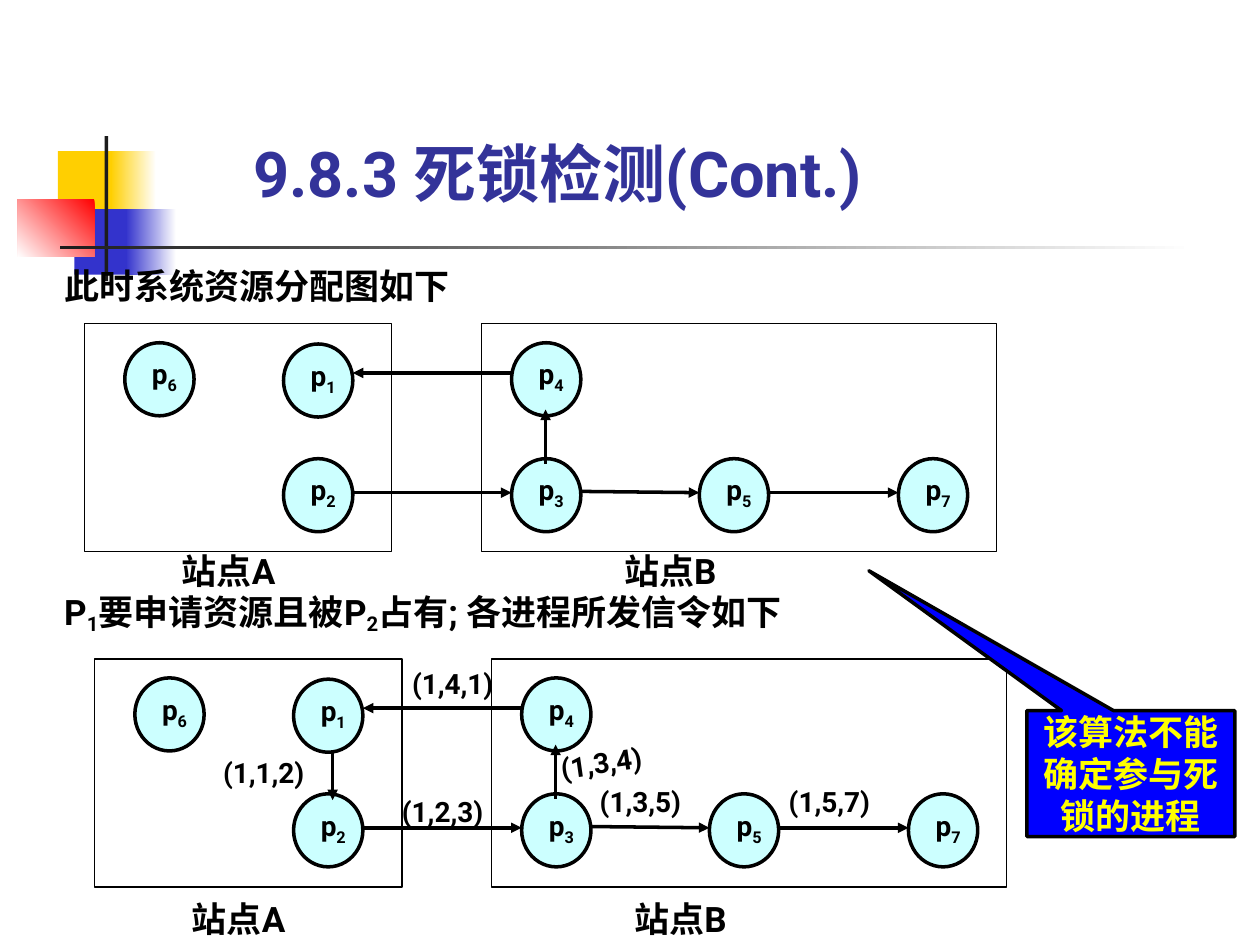
from lxml.etree import SubElement
from pptx import Presentation
from pptx.dml.color import RGBColor
from pptx.enum.shapes import MSO_CONNECTOR as Conn, MSO_SHAPE as Kind
from pptx.enum.text import MSO_ANCHOR as Anchor, PP_ALIGN as Align
from pptx.oxml.ns import qn
from pptx.util import Inches, Pt

BLACK = RGBColor(0, 0, 0)
WHITE = RGBColor(0xFF, 0xFF, 0xFF)
GOLD = RGBColor(0xFF, 0xCF, 0x01)
BLUE = RGBColor(0x33, 0x33, 0xCC)
RED = RGBColor(0xFF, 0, 0)
DARK = RGBColor(0x1C, 0x1C, 0x1C)
NAVY = RGBColor(0x33, 0x33, 0x99)
CYAN = RGBColor(0xCC, 0xFF, 0xFF)
NOTE = RGBColor(0, 0, 0xFF)
YELLOW = RGBColor(0xFF, 0xFF, 0)

# Decoration: box, fill (one colour, or start, end and angle)
DECO = [
    ((0.46, 1.2, 0.48, 0.52), GOLD),
    ((0.88, 1.2, 0.36, 0.52), (WHITE, GOLD, 180)),
    ((0.59, 1.66, 0.46, 0.52), BLUE),
    ((1, 1.66, 0.4, 0.52), (WHITE, BLUE, 180)),
    ((0.14, 1.58, 0.61, 0.46), (RED, WHITE, 225)),
    ((0.83, 1.08, 0.03, 1.15), DARK),
    ((0.48, 1.95, 9, 0.03), (WHITE, DARK, 180)),
]

# Text as (words, baseline shift in percent)
TITLE = [("9.8.3 死锁检测(Cont.)", 0)]
LEAD = [("此时系统资源分配图如下", 0)]
NEXT = [("P", 0), ("1", -16), ("要申请资源且被P", 0), ("2", -16),
        ("占有; 各进程所发信令如下", 0)]
REMARK = [("该算法不能确定参与死锁的进程", 0)]

# One graph, measured from its top left corner
SITES = [("站点A", 0, 2.44, 0.71, 0.87), ("站点B", 3.15, 4.09, 4.1, 1.1)]
SITE_H = 1.81
NODES = {"6": (0.32, 0.15), "2": (1.58, 1.07), "1": (1.58, 0.16),
         "4": (3.39, 0.15), "3": (3.39, 1.07), "5": (4.88, 1.07),
         "7": (6.46, 1.07)}
NODE_W, NODE_H = 0.55, 0.58
EDGES = [(5.43, 1.34, 6.46, 1.34), (3.94, 1.33, 4.88, 1.34),
         (3.39, 0.39, 2.13, 0.39), (3.66, 1.11, 3.66, 0.68),
         (2.13, 1.34, 3.39, 1.34)]
WAIT = (1.89, 0.72, 1.89, 1.12)
# Graphs: left, top, top of the site names, edges
GRAPHS = [(0.67, 2.57, 1.79, EDGES), (0.75, 5.23, 1.89, EDGES + [WAIT])]

# Signals: words, left, top, turn
SIGNALS = [("(1,2,3)", 3.19, 6.34, 0), ("(1,3,5)", 4.76, 6.26, 0),
           ("(1,5,7)", 6.26, 6.26, 0), ("(1,3,4)", 4.45, 5.94, -8.1),
           ("(1,4,1)", 3.27, 5.32, 0), ("(1,1,2)", 1.77, 6.03, 0)]

prs = Presentation()
prs.slide_width, prs.slide_height = Inches(10), Inches(7.5)
shapes = prs.slides.add_slide(prs.slide_layouts[6]).shapes


def paint(fill, tone):
    if tone is None:
        fill.background()
    elif isinstance(tone, RGBColor):
        fill.solid()
        fill.fore_color.rgb = tone
    else:
        fill.gradient()
        fill.gradient_angle = tone[2]
        for stop, color in zip(fill.gradient_stops, tone):
            stop.color.rgb = color


def add_box(kind, box, tone=None, width=0):
    shape = shapes.add_shape(kind, *map(Inches, box))
    shape.shadow.inherit = False
    paint(shape.fill, tone)
    if width:
        shape.line.color.rgb = BLACK
        shape.line.width = Pt(width)
    else:
        shape.line.fill.background()
    return shape


def write(shape, runs, size=20, color=BLACK, align=Align.LEFT,
          anchor=Anchor.TOP, space=1.0, pad=0):
    frame = shape.text_frame
    form = {"word_wrap": True, "vertical_anchor": anchor,
            "margin_left": Inches(pad), "margin_bottom": Inches(pad),
            "margin_right": 0, "margin_top": 0}
    for name, value in form.items():
        setattr(frame, name, value)
    para = frame.paragraphs[0]
    para.alignment, para.line_spacing = align, space
    look = {"size": Pt(size), "name": "Roboto", "bold": True}
    for words, shift in runs:
        run = para.add_run()
        run.text = words
        for name, value in look.items():
            setattr(run.font, name, value)
        run.font.color.rgb = color
        if shift:
            run._r.get_or_add_rPr().set("baseline", str(shift * 1000))


def add_text(box, runs, **form):
    text = shapes.add_textbox(*map(Inches, box))
    write(text, runs, **form)
    return text


def add_arrow(ends):
    edge = shapes.add_connector(Conn.STRAIGHT, *map(Inches, ends))
    edge.line.color.rgb = BLACK
    edge.line.width = Pt(2)
    SubElement(edge.line._get_or_add_ln(), qn("a:tailEnd"), type="triangle")
    SubElement(edge._element.spPr, qn("a:effectLst"))


# Decoration and headings
for box, tone in DECO:
    add_box(Kind.RECTANGLE, box, tone)
add_text((2.01, 1.07, 5.77, 0.6), TITLE, size=36, color=NAVY,
         anchor=Anchor.BOTTOM)
add_text((0.51, 2.1, 3.23, 0.33), LEAD)
add_text((0.51, 4.69, 6.22, 0.35), NEXT)

# Both graphs
for left, top, drop, edges in GRAPHS:
    for name, x, wide, tag_x, tag_w in SITES:
        add_box(Kind.RECTANGLE, (left + x, top, wide, SITE_H), width=0.75)
        add_text((left + tag_x, top + drop, tag_w, 0.33), [(name, 0)],
                 align=Align.CENTER)
    for digit, (x, y) in NODES.items():
        node = add_box(Kind.OVAL, (left + x, top + y, NODE_W, NODE_H), CYAN, 2)
        write(node, [("p", 0), (digit, -25)], size=16, align=Align.CENTER,
              anchor=Anchor.MIDDLE, space=1.1, pad=0.08)
    for x1, y1, x2, y2 in edges:
        add_arrow((left + x1, top + y1, left + x2, top + y2))

# Signals on the second graph
for words, x, y, turn in SIGNALS:
    text = add_text((x, y, 0.79, 0.24), [(words, 0)], size=16, space=0.9)
    text.rotation = turn

# Remark
call = add_box(Kind.RECTANGULAR_CALLOUT, (8.15, 5.64, 1.65, 1), NOTE, 2)
call.adjustments[0], call.adjustments[1] = -1.26, -1.61
write(call, REMARK, color=YELLOW, align=Align.CENTER)

prs.save("out.pptx")
